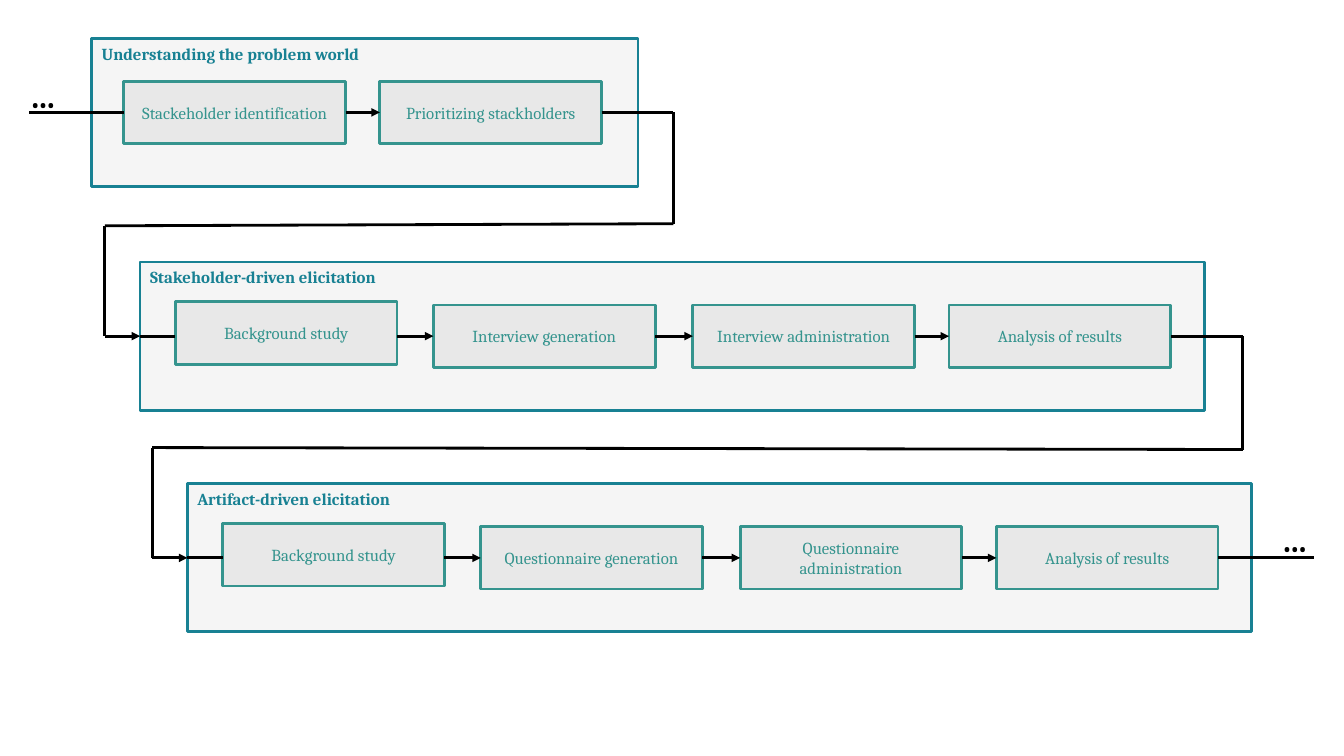
from dataclasses import dataclass

from lxml.etree import SubElement
from pptx import Presentation
from pptx.dml.color import RGBColor
from pptx.enum.shapes import MSO_CONNECTOR, MSO_SHAPE
from pptx.enum.text import MSO_ANCHOR, MSO_AUTO_SIZE, PP_ALIGN
from pptx.oxml.ns import qn
from pptx.util import Pt

LEFT, RIGHT = 1, 3
PANEL_H, BOX_W, BOX_H = 105.8, 158.4, 44.6
BOX_DY = (PANEL_H - BOX_H) / 2
STUDY_DY = BOX_DY - 2.2
WIDE, WIDE_OFFSETS = 760.3, (25.2, 209.5, 394.8, 577.8)

STAGES = [
    ("Understanding the problem world", 65.5, 27.4, 390.2, (23, 205.9), BOX_DY,
     ("Stackeholder identification", "Prioritizing stackholders")),
    ("Stakeholder-driven elicitation", 100.1, 187.2, WIDE, WIDE_OFFSETS, STUDY_DY,
     ("Background study", "Interview generation", "Interview administration", "Analysis of results")),
    ("Artifact-driven elicitation", 133.9, 345.6, WIDE, WIDE_OFFSETS, STUDY_DY,
     ("Background study", "Questionnaire generation", "Questionnaire administration", "Analysis of results")),
]
LOOPS = [((481, 159.8), (74.9, 161.3)), ((887.8, 321.1), (108.7, 319.7))]
ENTRY_X, EXIT_X = 20.9, 938.9
ELLIPSES = [(14.4, 49.7, 54), (908.6, 367.2, 43.9)]


@dataclass(frozen=True)
class Theme:
    font: str = "Cambria"
    text_size: Pt = Pt(12)
    ellipsis_size: Pt = Pt(24)
    stroke: Pt = Pt(2)
    panel_fill: RGBColor = RGBColor(0xF5, 0xF5, 0xF5)
    panel_ink: RGBColor = RGBColor(0x18, 0x81, 0x93)
    box_fill: RGBColor = RGBColor(0xE8, 0xE8, 0xE8)
    box_ink: RGBColor = RGBColor(0x35, 0x94, 0x8E)
    wire: RGBColor = RGBColor(0, 0, 0)


class FlowSlide:
    """Draw the panels, boxes, wires and labels of a flow on one slide."""

    def __init__(self, s, theme):
        self.s = s
        self.theme = theme

    def label(self, sp, text, color, size, bold, align, frame):
        tf = sp.text_frame
        for name, value in {"word_wrap": True, **frame}.items():
            setattr(tf, name, value)
        p = tf.paragraphs[0]
        p.alignment = align
        r = p.add_run()
        r.text = text
        for name, value in {"name": self.theme.font, "size": size, "bold": bold}.items():
            setattr(r.font, name, value)
        r.font.color.rgb = color

    def rect(self, x, y, w, h, fill, ink):
        sp = self.s.shapes.add_shape(MSO_SHAPE.RECTANGLE, Pt(x), Pt(y), Pt(w), Pt(h))
        sp.shadow.inherit = False
        sp.fill.solid()
        sp.fill.fore_color.rgb = fill
        sp.line.color.rgb = ink
        sp.line.width = self.theme.stroke
        return sp

    def panel(self, text, x, y, w):
        t = self.theme
        sp = self.rect(x, y, w, PANEL_H, t.panel_fill, t.panel_ink)
        self.label(sp, text, t.panel_ink, t.text_size, True, PP_ALIGN.LEFT,
                   {"vertical_anchor": MSO_ANCHOR.TOP})
        return sp

    def box(self, text, x, y):
        t = self.theme
        sp = self.rect(x, y, BOX_W, BOX_H, t.box_fill, t.box_ink)
        self.label(sp, text, t.box_ink, t.text_size, False, PP_ALIGN.CENTER,
                   {"vertical_anchor": MSO_ANCHOR.MIDDLE})
        return sp

    def ellipsis(self, x, y, w):
        t = self.theme
        sp = self.s.shapes.add_textbox(Pt(x), Pt(y), Pt(w), Pt(36))
        self.label(sp, "…", t.wire, t.ellipsis_size, True, PP_ALIGN.LEFT,
                   {"auto_size": MSO_AUTO_SIZE.SHAPE_TO_FIT_TEXT})

    def wire(self, start, end, arrow=False):
        ends = [Pt(v) for v in (*start, *end)]
        cx = self.s.shapes.add_connector(MSO_CONNECTOR.STRAIGHT, *ends)
        cx.line.color.rgb = self.theme.wire
        cx.line.width = self.theme.stroke
        if arrow:
            SubElement(cx.get_or_add_ln(), qn("a:tailEnd"), type="triangle")
        SubElement(cx._element.spPr, qn("a:effectLst"))
        return cx

    def link(self, y, start, end, arrow=False):
        joints = [e if isinstance(e, tuple) else None for e in (start, end)]
        xs = [(j[0].left + (j[0].width if j[1] == RIGHT else 0)) / Pt(1) if j else e
              for j, e in zip(joints, (start, end))]
        cx = self.wire((xs[0], y), (xs[1], y), arrow)
        for joint, connect in zip(joints, (cx.begin_connect, cx.end_connect)):
            if joint and abs(joint[0].top + joint[0].height / 2 - Pt(y)) < Pt(1):
                connect(*joint)

    def stage(self, title, x, y, w, offsets, first_dy, labels):
        mid = y + PANEL_H / 2
        panel = self.panel(title, x, y, w)
        boxes = [self.box(text, x + dx, y + (BOX_DY if i else first_dy))
                 for i, (text, dx) in enumerate(zip(labels, offsets))]
        for a, b in zip(boxes, boxes[1:]):
            self.link(mid, (a, RIGHT), (b, LEFT), arrow=True)
        self.link(mid, (panel, LEFT), (boxes[0], LEFT))
        self.link(mid, (boxes[-1], RIGHT), (panel, RIGHT))
        return panel, mid

    def loop(self, source, target, right, left):
        (panel, y), (next_panel, next_y) = source, target
        self.link(y, (panel, RIGHT), right[0])
        self.wire((right[0], y), right)
        self.wire(right, left)
        self.wire(left, (left[0], next_y))
        self.link(next_y, left[0], (next_panel, LEFT), arrow=True)


def main():
    prs = Presentation()
    prs.slide_width, prs.slide_height = Pt(960), Pt(540)
    flow = FlowSlide(prs.slides.add_slide(prs.slide_layouts[6]), Theme())
    stages = [flow.stage(*stage) for stage in STAGES]
    for source, target, corners in zip(stages, stages[1:], LOOPS):
        flow.loop(source, target, *corners)
    (first, first_y), (last, last_y) = stages[0], stages[-1]
    flow.link(first_y, ENTRY_X, (first, LEFT))
    flow.link(last_y, (last, RIGHT), EXIT_X)
    for place in ELLIPSES:
        flow.ellipsis(*place)
    prs.save("out.pptx")


if __name__ == "__main__":
    main()
